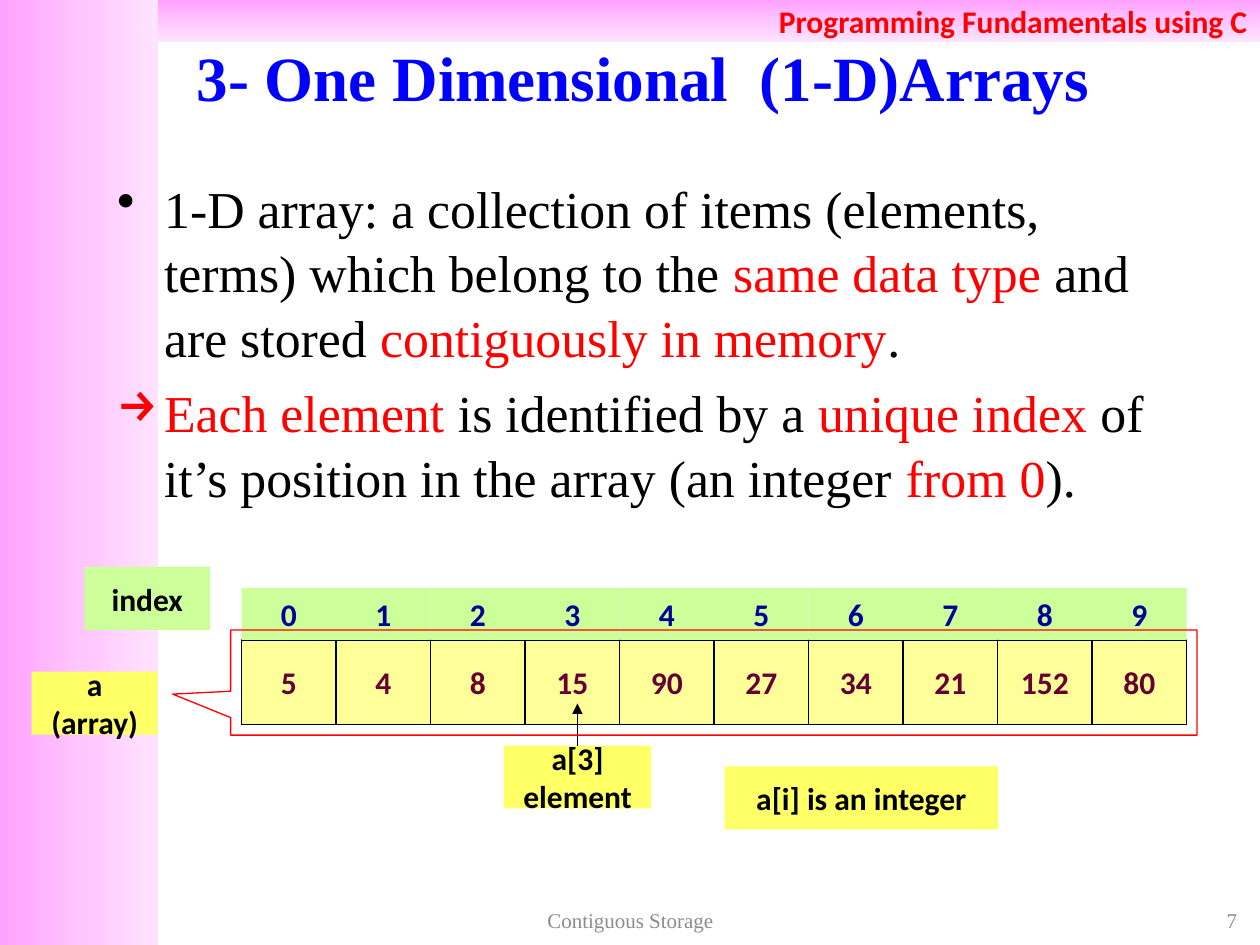
"""Build the slide on one-dimensional arrays."""
from copy import deepcopy
from dataclasses import dataclass

from lxml import etree
from pptx import Presentation
from pptx.dml.color import RGBColor
from pptx.enum.shapes import MSO_CONNECTOR, MSO_SHAPE
from pptx.enum.text import MSO_ANCHOR, PP_ALIGN
from pptx.oxml.ns import qn
from pptx.util import Cm, Pt

RECT = MSO_SHAPE.RECTANGLE
CALLOUT = MSO_SHAPE.RECTANGULAR_CALLOUT
STRAIGHT = MSO_CONNECTOR.STRAIGHT
MIDDLE, TOP = MSO_ANCHOR.MIDDLE, MSO_ANCHOR.TOP
LEFT, CENTER, RIGHT = PP_ALIGN.LEFT, PP_ALIGN.CENTER, PP_ALIGN.RIGHT


@dataclass(frozen=True)
class Theme:
    sans: str = "Calibri"
    serif: str = "Times New Roman"
    black: str = "000000"
    red: str = "FF0000"
    blue: str = "0000FF"
    navy: str = "000099"
    wine: str = "660033"
    gray: str = "8C8C8C"
    green: str = "CCFF99"
    yellow: str = "FFFF66"
    cream: str = "FFFF99"
    fade: tuple = ("FFA0FF", "FFC5FF", "FFE3FF")
    title: float = 36
    body: float = 29.6
    label: float = 18
    small: float = 12
    thin: float = 0.75


class Deck:
    def __init__(self, theme):
        self.theme = theme
        self.show = Presentation()
        self.show.slide_width, self.show.slide_height = Cm(25.4), Cm(19.05)
        self.slide = self.show.slides.add_slide(self.show.slide_layouts[6])

    def style(self, font, name, size, color, bold):
        font.name, font.size, font.bold = name, Pt(size), bold
        font.color.rgb = RGBColor.from_string(color)

    def letter(self, shape, text, name, size, color, bold, align):
        frame = shape.text_frame
        frame.vertical_anchor = MIDDLE
        frame.text = text
        for para in frame.paragraphs:
            para.alignment = align
            self.style(para.font, name, size, color, bold)
        return frame

    def shape(self, box, kind=RECT, fill=None, line=None):
        shape = self.slide.shapes.add_shape(kind, *map(Cm, box))
        shape.shadow.inherit = False
        if fill:
            shape.fill.solid()
            shape.fill.fore_color.rgb = RGBColor.from_string(fill)
        else:
            shape.fill.background()
        if line:
            shape.line.color.rgb = RGBColor.from_string(line)
            shape.line.width = Pt(self.theme.thin)
        else:
            shape.line.fill.background()
        return shape

    def band(self, box, angle):
        shape = self.shape(box)
        shape.fill.gradient()
        shape.fill.gradient_angle = angle
        stops = shape._element.spPr.find(".//" + qn("a:gsLst"))
        stops.insert(1, deepcopy(stops[0]))
        for i, color in enumerate(self.theme.fade):
            stop = shape.fill.gradient_stops[i]
            stop.position = i / 2
            stop.color.rgb = RGBColor.from_string(color)
        return shape

    def label(self, box, text, fill, color=None, line=None):
        t = self.theme
        shape = self.shape(box, fill=fill, line=line)
        frame = self.letter(shape, text, t.sans, t.label, color or t.black, True, CENTER)
        frame.word_wrap = False

    def row(self, top, high, texts, fill, color, line=None):
        left, wide = 4.87, 19.05 / len(texts)
        for i, text in enumerate(texts):
            self.label((left + i * wide, top, wide, high), str(text), fill, color, line)

    def text(self, box, text, size, color, bold=False, align=CENTER):
        shape = self.slide.shapes.add_textbox(*map(Cm, box))
        frame = self.letter(shape, text, self.theme.serif, size, color, bold, align)
        frame.word_wrap = True
        return frame

    def points(self, box, items):
        t = self.theme
        frame = self.text(box, "\n" * (len(items) - 1), t.body, t.black, align=LEFT)
        frame.vertical_anchor = TOP
        for para, (mark, parts) in zip(frame.paragraphs, items):
            para.space_before, para.line_spacing = Pt(6), 1.04
            props = para._p.get_or_add_pPr()
            props.set("marL", str(Cm(0.95)))
            props.set("indent", str(Cm(-0.95)))
            bullet = etree.Element(qn("a:buChar"), char=mark)
            props.find(qn("a:defRPr")).addprevious(bullet)
            for words, color in parts:
                run = para.add_run()
                run.text = words
                self.style(run.font, t.serif, t.body, color, False)

    def arrow(self, start, end):
        line = self.slide.shapes.add_connector(STRAIGHT, *map(Cm, start + end))
        line.line.color.rgb = RGBColor.from_string(self.theme.black)
        line.line.width = Pt(self.theme.thin)
        etree.SubElement(line.line._get_or_add_ln(), qn("a:tailEnd"), type="triangle")
        etree.SubElement(line._element.spPr, qn("a:effectLst"))


t = Theme()
deck = Deck(t)

deck.band((0, 0, 3.18, 19.05), 0)
head = deck.band((3.18, 0, 22.22, 0.84), 270)
deck.letter(head, "Programming Fundamentals using C", t.sans, t.label, t.red, True, RIGHT)

deck.text((2.11, 0.76, 22.02, 1.57), "3- One Dimensional  (1-D)Arrays ", t.title, t.blue, True)
deck.points((2.11, 3.38, 22.02, 7.42), [
    ("•", [
        ("1-D array: a collection of items (elements, terms) which belong to the ", t.black),
        ("same data type ", t.red),
        ("and are stored ", t.black),
        ("contiguously in memory", t.red),
        (".", t.black),
    ]),
    ("→", [
        ("Each element ", t.red),
        ("is identified by a ", t.black),
        ("unique index ", t.red),
        ("of it’s position in the array (an integer ", t.black),
        ("from 0", t.red),
        (").", t.black),
    ]),
])

items = [5, 4, 8, 15, 90, 27, 34, 21, 152, 80]
deck.row(12.9, 1.7, items, t.cream, t.wine, t.black)
deck.label((0.64, 13.54, 2.54, 1.27), "a\n(array)", t.yellow)
deck.label((10.16, 15.03, 2.97, 1.27), "a[3]\nelement", t.yellow)
deck.arrow((11.64, 15.03), (11.64, 14.18))
deck.row(11.85, 1.05, range(len(items)), t.green, t.navy)

frame = deck.shape((4.65, 12.7, 19.48, 2.12), CALLOUT, line=t.red)
frame.adjustments[0], frame.adjustments[1] = -0.56, 0.11
deck.label((1.7, 11.43, 2.54, 1.27), "index", t.green)
deck.label((14.61, 15.45, 5.51, 1.27), "a[i] is an integer", t.yellow)

deck.text((19.26, 18.2, 5.93, 0.69), "7", t.small, t.gray, align=RIGHT)
deck.text((8.69, 18.2, 8.04, 0.69), "Contiguous Storage", t.small, t.gray)

deck.show.save("out.pptx")
